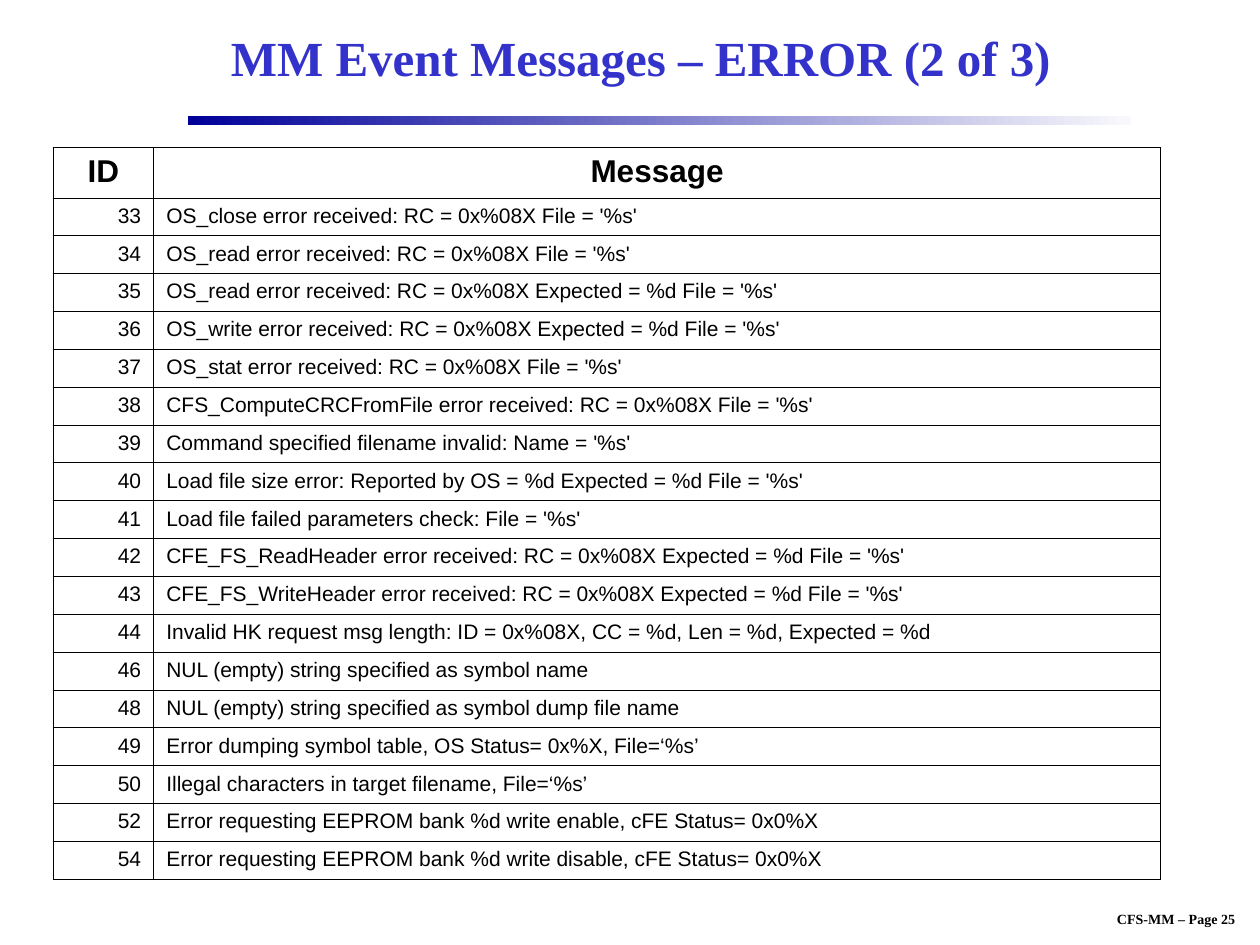
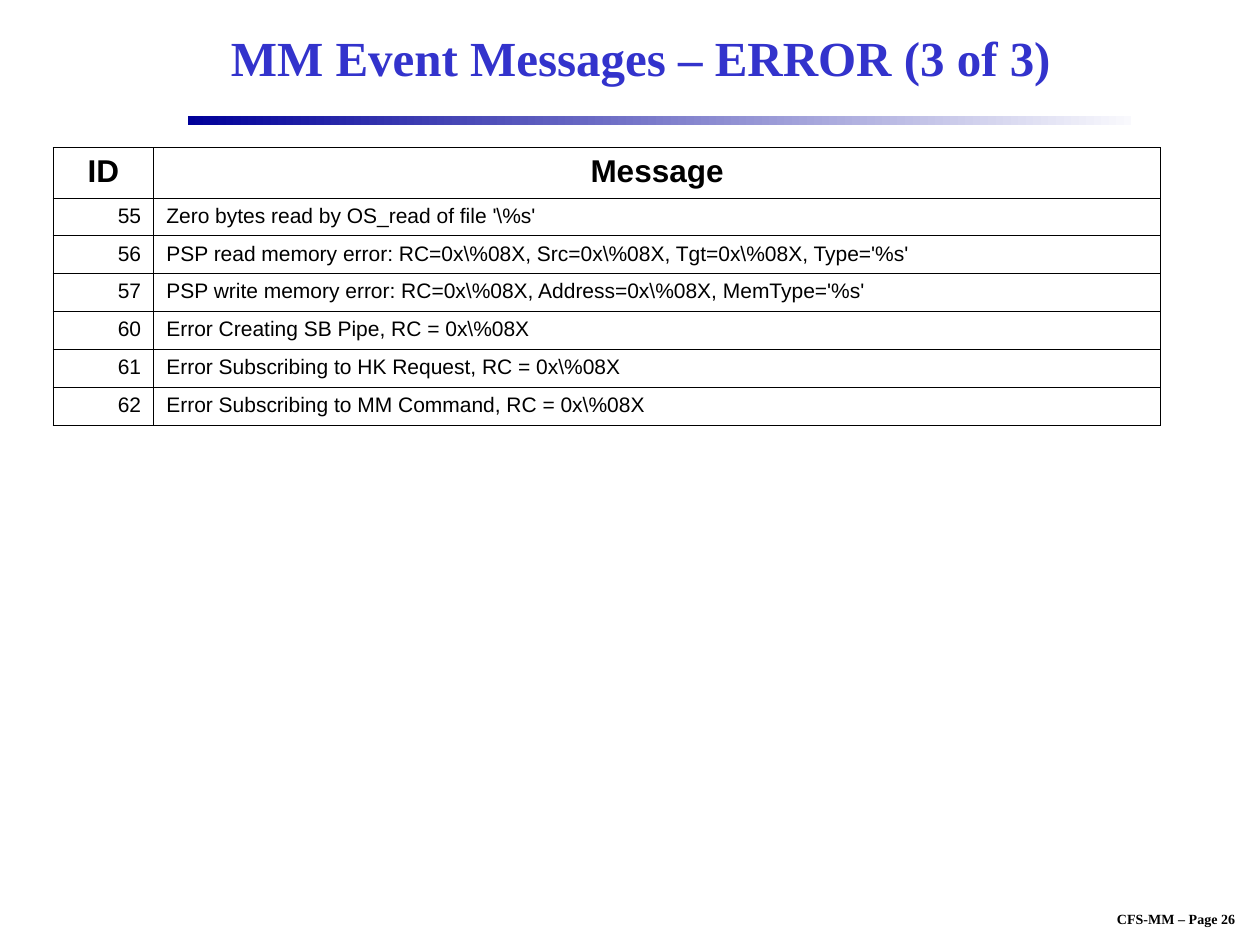
from dataclasses import dataclass

from pptx import Presentation
from pptx.dml.color import RGBColor
from pptx.enum.shapes import MSO_SHAPE
from pptx.enum.text import MSO_ANCHOR, MSO_AUTO_SIZE, PP_ALIGN
from pptx.oxml import parse_xml
from pptx.oxml.ns import nsdecls
from pptx.util import Inches, Pt

RECTANGLE = MSO_SHAPE.RECTANGLE
LEFT, CENTER, RIGHT = PP_ALIGN.LEFT, PP_ALIGN.CENTER, PP_ALIGN.RIGHT
MIDDLE = MSO_ANCHOR.MIDDLE
FIT_SHAPE = MSO_AUTO_SIZE.SHAPE_TO_FIT_TEXT
TITLE_ONLY = 5


@dataclass(frozen=True)
class Theme:
    title_color: str = "3333CC"
    text_color: str = "000000"
    bar_start: str = "000099"
    bar_end: str = "F9F9FD"
    serif: str = "Times New Roman"
    sans: str = "Arial"
    title_size: int = 28
    header_size: int = 18
    body_size: int = 12
    footer_size: int = 8
    border_width: float = 0.45


THEME = Theme()

HEADINGS = ("ID", "Message")
FIRST_PAGE = 25
SLIDES = [
    ("MM Event Messages – ERROR (2 of 3)", [
        (33, "OS_close error received: RC = 0x%08X File = '%s'"),
        (34, "OS_read error received: RC = 0x%08X File = '%s'"),
        (35, "OS_read error received: RC = 0x%08X Expected = %d File = '%s'"),
        (36, "OS_write error received: RC = 0x%08X Expected = %d File = '%s'"),
        (37, "OS_stat error received: RC = 0x%08X File = '%s'"),
        (38, "CFS_ComputeCRCFromFile error received: RC = 0x%08X File = '%s'"),
        (39, "Command specified filename invalid: Name = '%s'"),
        (40, "Load file size error: Reported by OS = %d Expected = %d File = '%s'"),
        (41, "Load file failed parameters check: File = '%s'"),
        (42, "CFE_FS_ReadHeader error received: RC = 0x%08X Expected = %d File = '%s'"),
        (43, "CFE_FS_WriteHeader error received: RC = 0x%08X Expected = %d File = '%s'"),
        (44, "Invalid HK request msg length: ID = 0x%08X, CC = %d, Len = %d, Expected = %d"),
        (46, "NUL (empty) string specified as symbol name"),
        (48, "NUL (empty) string specified as symbol dump file name"),
        (49, "Error dumping symbol table, OS Status= 0x%X, File=‘%s’"),
        (50, "Illegal characters in target filename, File=‘%s’"),
        (52, "Error requesting EEPROM bank %d write enable, cFE Status= 0x0%X"),
        (54, "Error requesting EEPROM bank %d write disable, cFE Status= 0x0%X"),
    ]),
    ("MM Event Messages – ERROR (3 of 3)", [
        (55, r"Zero bytes read by OS_read of file '\%s'"),
        (56, r"PSP read memory error: RC=0x\%08X, Src=0x\%08X, Tgt=0x\%08X, Type='%s'"),
        (57, r"PSP write memory error: RC=0x\%08X, Address=0x\%08X, MemType='%s'"),
        (60, r"Error Creating SB Pipe, RC = 0x\%08X"),
        (61, r"Error Subscribing to HK Request, RC = 0x\%08X"),
        (62, r"Error Subscribing to MM Command, RC = 0x\%08X"),
    ]),
]

COLUMN_WIDTHS = (0.8, 7.99)
HEADER_HEIGHT, ROW_HEIGHT = 0.4, 0.3


def inches(*lengths):
    return [Inches(length) for length in lengths]


def write(frame, text, font, size, color, align, bold=True):
    frame.text = text
    para = frame.paragraphs[0]
    para.alignment = align
    span = para.runs[0].font
    span.name, span.size, span.bold = font, Pt(size), bold
    span.color.rgb = RGBColor.from_string(color)
    return para


def add_title(page, text):
    title = page.shapes.title
    title.left, title.top, title.width, title.height = inches(1.5, 0.08, 7.17, 0.75)
    title.text_frame.vertical_anchor = MIDDLE
    write(title.text_frame, text, THEME.serif, THEME.title_size, THEME.title_color, CENTER)


def add_bar(page):
    bar = page.shapes.add_shape(RECTANGLE, *inches(1.49, 0.92, 7.49, 0.07))
    bar.shadow.inherit = False
    bar.line.fill.background()
    bar.fill.gradient()
    bar.fill.gradient_angle = 0
    for stop, position, color in zip(bar.fill.gradient_stops, (0, 1),
                                     (THEME.bar_start, THEME.bar_end)):
        stop.position = position
        stop.color.rgb = RGBColor.from_string(color)


def add_footer(page, number):
    box = page.shapes.add_textbox(*inches(8.57, 7.18, 1.53, 0.23))
    box.text_frame.word_wrap = False
    box.text_frame.auto_size = FIT_SHAPE
    write(box.text_frame, f"CFS-MM – Page {number}", THEME.serif, THEME.footer_size,
          THEME.text_color, CENTER)


def outline(cell):
    properties = cell._tc.get_or_add_tcPr()
    for side in ("lnL", "lnR", "lnT", "lnB"):
        properties.append(parse_xml(
            f'<a:{side} {nsdecls("a")} w="{Pt(THEME.border_width)}"><a:solidFill>'
            f'<a:srgbClr val="{THEME.text_color}"/></a:solidFill></a:{side}>'))


def add_message_table(page, messages):
    rows = [HEADINGS, *messages]
    height = HEADER_HEIGHT + ROW_HEIGHT * len(messages)
    table = page.shapes.add_table(len(rows), len(HEADINGS),
                                  *inches(0.42, 1.17, sum(COLUMN_WIDTHS), height)).table
    table.first_row = table.horz_banding = False
    for column, width in zip(table.columns, COLUMN_WIDTHS):
        column.width = Inches(width)
    for row_index, row in enumerate(rows):
        is_header = row_index == 0
        table.rows[row_index].height = Inches(HEADER_HEIGHT if is_header else ROW_HEIGHT)
        size = THEME.header_size if is_header else THEME.body_size
        aligns = (CENTER, CENTER) if is_header else (RIGHT, LEFT)
        for column_index, (value, align) in enumerate(zip(row, aligns)):
            cell = table.cell(row_index, column_index)
            outline(cell)
            cell.fill.background()
            para = write(cell.text_frame, str(value), THEME.sans, size,
                         THEME.text_color, align, is_header)
            if align == LEFT:
                para.space_before = Pt(5.2)


def main():
    deck = Presentation()
    deck.slide_width, deck.slide_height = inches(10, 7.5)
    for number, (title, messages) in enumerate(SLIDES, FIRST_PAGE):
        page = deck.slides.add_slide(deck.slide_layouts[TITLE_ONLY])
        add_footer(page, number)
        add_bar(page)
        add_title(page, title)
        add_message_table(page, messages)
    deck.save("out.pptx")


if __name__ == "__main__":
    main()
